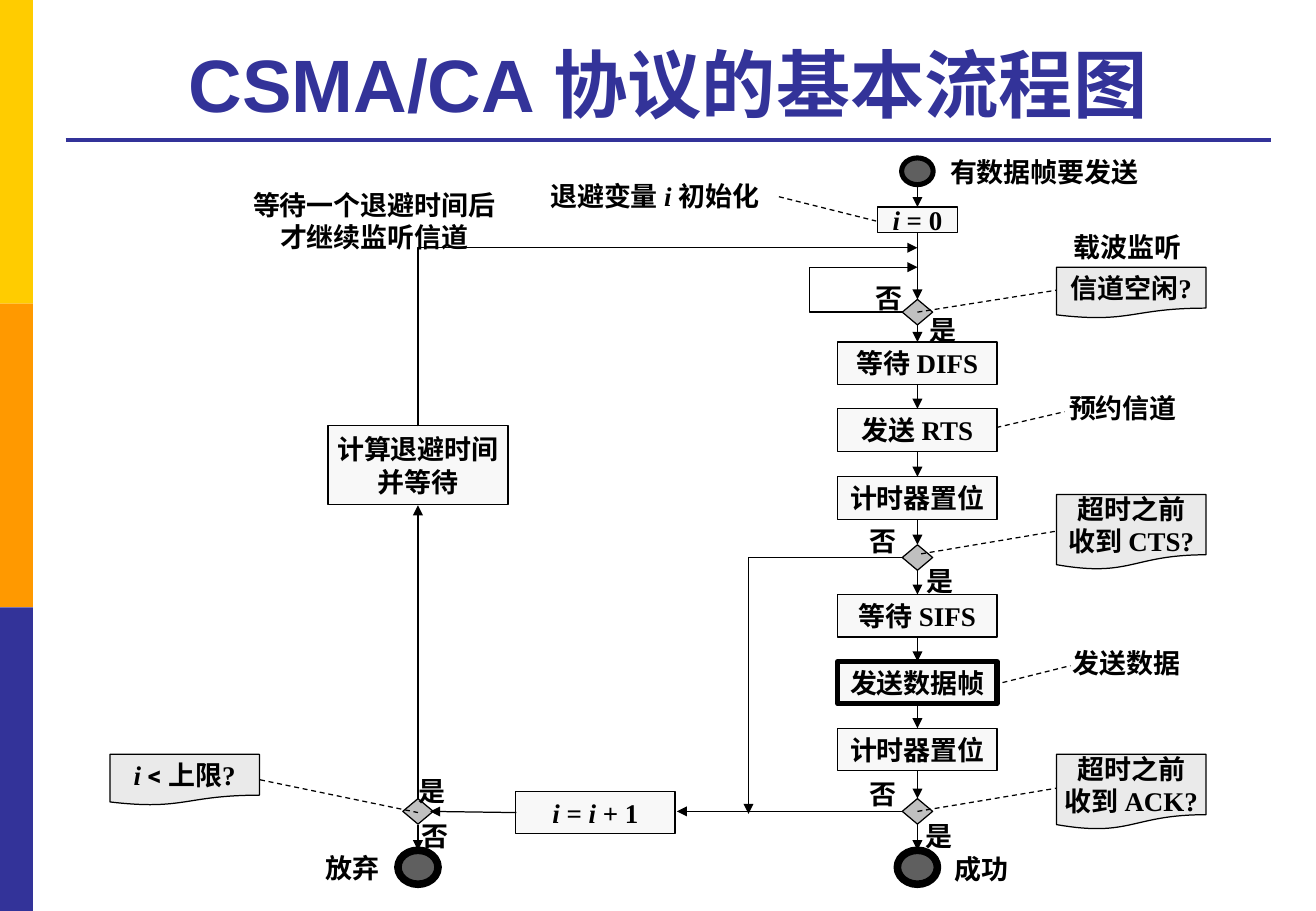
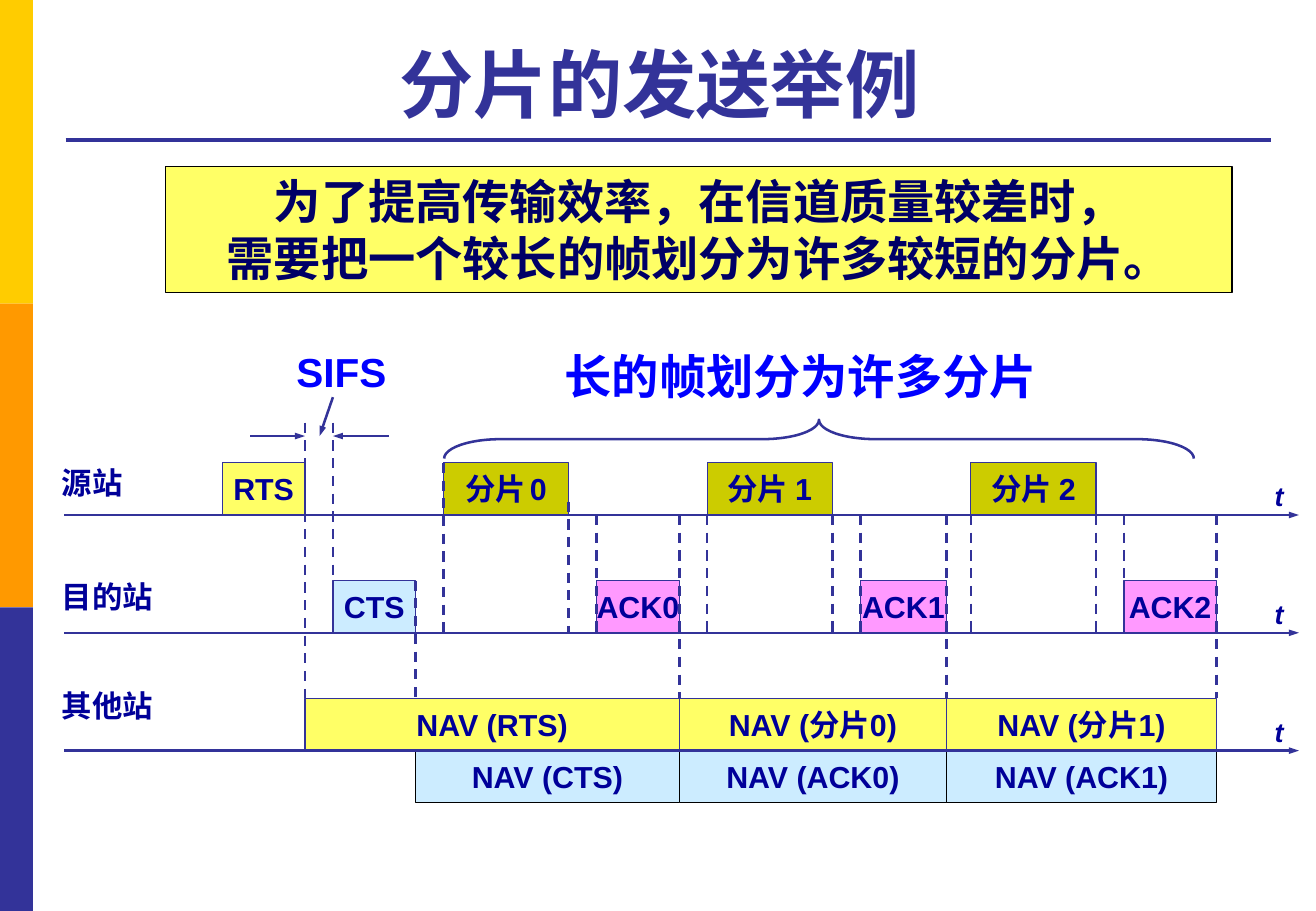
"""Two lecture slides: the CSMA/CA flow chart and a fragment timing diagram."""
from dataclasses import dataclass
from itertools import pairwise

from lxml import etree
from pptx import Presentation
from pptx.dml.color import RGBColor
from pptx.enum.dml import MSO_LINE
from pptx.enum.shapes import MSO_CONNECTOR, MSO_SHAPE as S
from pptx.enum.text import MSO_ANCHOR, PP_ALIGN
from pptx.oxml.ns import qn
from pptx.util import Inches, Pt


@dataclass(frozen=True)
class Theme:
    """Colours, fonts and type sizes of the deck."""
    gold: str = "FFCC00"
    orange: str = "FF9900"
    indigo: str = "333399"
    black: str = "000000"
    navy: str = "000099"
    deep: str = "000066"
    blue: str = "0000FF"
    yellow: str = "FFFF66"
    sky: str = "CCECFF"
    olive: str = "CCCC00"
    pink: str = "FF99FF"
    step: str = "F8F8F8"
    test: str = "C0C0C0"
    note: str = "EAEAEA"
    dot: str = "5F5F5F"
    sans: str = "Arial"
    serif: str = "Times New Roman"
    label: str = "Roboto"
    title_size: int = 44
    lead_size: int = 28
    sifs_size: int = 24
    body_size: int = 18
    small_size: int = 16
    gap_size: int = 10


T = Theme()
WIDTH, HEIGHT = 10.83, 7.5
BANDS = [T.gold, T.orange, T.indigo]

MAIN, COUNT, BACKOFF, NOTES, LIMIT = 7.55, 4.9, 3.44, 9.31, 1.52
LOOP, FAIL = 6.66, 6.16
KINDS = {
    "start": (S.OVAL, T.dot, 3, 0.26, 0.22),
    "end": (S.OVAL, T.dot, 4.5, 0.33, 0.28),
    "init": (S.FLOWCHART_PROCESS, T.step, 0.75, 0.66, 0.21),
    "step": (S.FLOWCHART_PROCESS, T.step, 0.75, 1.31, 0.35),
    "send": (S.FLOWCHART_PROCESS, T.step, 3, 1.31, 0.35),
    "wait": (S.FLOWCHART_PROCESS, T.step, 0.75, 1.48, 0.65),
    "test": (S.FLOWCHART_DECISION, T.test, 0.75, 0.25, 0.21),
    "note": (S.FLOWCHART_DOCUMENT, T.note, 0.75, 1.23, 0.42),
    "long note": (S.FLOWCHART_DOCUMENT, T.note, 0.75, 1.23, 0.62),
}
MAIN_FLOW = [
    ("start", 1.41, ""), ("init", 1.81, "_i |^= 0"), ("test", 2.57, ""),
    ("step", 2.99, "等待 DIFS"), ("step", 3.54, "发送 RTS"),
    ("step", 4.1, "计时器置位"), ("test", 4.59, ""),
    ("step", 5.07, "等待 SIFS"), ("send", 5.62, "发送数据帧"),
    ("step", 6.17, "计时器置位"), ("test", 6.68, ""), ("end", 7.14, ""),
]
SIDE_NODES = [
    ("step", COUNT, 6.69, "_i |^= |_i|^ + 1"), ("test", BACKOFF, 6.68, ""),
    ("end", BACKOFF, 7.14, ""), ("wait", BACKOFF, 3.83, "计算退避时间\n并等待"),
]
NOTE_NODES = [
    ("note", NOTES, 2.41, "信道空闲|^?"),
    ("long note", NOTES, 4.38, "超时之前\n收到 |^CTS?"),
    ("long note", NOTES, 6.52, "超时之前\n收到 |^ACK?"),
    ("note", LIMIT, 6.42, "_i| < 上限|^?"),
]
SIDE_ARROWS = [
    [(MAIN - 0.12, 2.57), (LOOP, 2.57), (LOOP, 2.2), (MAIN, 2.2)],
    [(MAIN - 0.12, 4.59), (FAIL, 4.59), (FAIL, 6.7)],
    [(BACKOFF, 3.51), (BACKOFF, 2.04), (MAIN, 2.04)],
    [(MAIN - 0.13, 6.68), (5.57, 6.68)],
    [(COUNT - 0.65, 6.69), (BACKOFF + 0.1, 6.68)],
    [(BACKOFF, 6.58), (BACKOFF, 4.16)],
    [(BACKOFF, 6.79), (BACKOFF, 7)],
]
NOTE_LINES = [
    [(2.14, 6.42), (BACKOFF, 6.69)], [(MAIN, 2.57), (8.69, 2.39)],
    [(7.58, 4.56), (8.71, 4.37)], [(MAIN, 6.68), (8.69, 6.49)],
    [(6.41, 1.62), (7.21, 1.82)], [(8.2, 3.52), (8.76, 3.39)],
    [(8.25, 5.62), (8.81, 5.48)],
]
LABELS = [
    (7.55, 2.53, 0.44, "是"), (7.53, 4.6, 0.44, "是"), (7.52, 6.7, 0.44, "是"),
    (3.35, 6.33, 0.44, "是"), (7.11, 2.27, 0.44, "否"), (7.06, 4.27, 0.44, "否"),
    (7.06, 6.35, 0.44, "否"), (3.37, 6.7, 0.44, "否"),
    (4.43, 1.43, 2.05, "退避变量 |_i |初始化"), (7.72, 1.23, 1.97, "有数据帧要发送"),
    (7.76, 6.97, 0.82, "成功"), (2.58, 6.96, 0.82, "放弃"),
    (8.74, 1.85, 1.56, "载波监听"), (8.7, 3.17, 1.56, "预约信道"),
    (8.73, 5.27, 1.56, "发送数据"),
]
RETRY_LABEL = "等待一个退避时间后\n才继续监听信道"

AXES = {"源站": 4.24, "目的站": 5.21, "其他站": 6.18}
SOURCE, TARGET, OTHER = AXES.values()
STATION_TOPS = (3.77, 4.71, 5.61)
BAR, SIFS, CYCLE, FRAGMENT = 0.43, 0.23, 2.17, 1.03
RTS_START, RTS_END = 1.83, 2.51
CTS_START, CTS_END = RTS_END + SIFS, 3.42
FIRST = CTS_END + SIFS
ACK_ENDS = (5.59, 7.79, 10.01)
FRAGMENTS = ["分片|# |0", "分片 1", "分片 2"]
NAV_SENDER = ["NAV (RTS)", "NAV (分片0)", "NAV (分片1)"]
NAV_RECEIVER = ["NAV (CTS)", "NAV (ACK0)", "NAV (ACK1)"]
LEAD = "为了提高传输效率，在信道质量较差时，\n需要把一个较长的帧划分为许多较短的分片。"


def write(shape, text, size, font, color, align=PP_ALIGN.CENTER,
          anchor=MSO_ANCHOR.MIDDLE, wrap=False, italic=False):
    """Fill a shape; | splits runs, _ marks italic serif, ^ serif, # a narrow gap."""
    frame = shape.text_frame
    frame.word_wrap = wrap
    frame.vertical_anchor = anchor
    for i, line in enumerate(text.split("\n")):
        paragraph = frame.paragraphs[0] if i == 0 else frame.add_paragraph()
        paragraph.alignment = align
        for piece in line.split("|"):
            mark = piece[0] if piece[0] in "_^#" else ""
            run = paragraph.add_run()
            run.text = piece[len(mark):]
            run.font.size = Pt(T.gap_size if mark == "#" else size)
            run.font.name = T.serif if mark in ("_", "^") else font
            run.font.bold = True
            run.font.italic = italic or mark == "_"
            run.font.color.rgb = RGBColor.from_string(color)


def add_box(slide, kind, left, top, width, height, fill=None, line=None, weight=0.75):
    """Add a preset shape with plain fill and outline."""
    shape = slide.shapes.add_shape(kind, *map(Inches, (left, top, width, height)))
    shape.shadow.inherit = False
    if fill:
        shape.fill.solid()
        shape.fill.fore_color.rgb = RGBColor.from_string(fill)
    else:
        shape.fill.background()
    if line:
        shape.line.color.rgb = RGBColor.from_string(line)
        shape.line.width = Pt(weight)
    else:
        shape.line.fill.background()
    return shape


def add_label(slide, left, top, width, height, text, size, font, color,
              align=PP_ALIGN.LEFT, anchor=MSO_ANCHOR.TOP, italic=False):
    """Add a free text box."""
    box = slide.shapes.add_textbox(*map(Inches, (left, top, width, height)))
    write(box, text, size, font, color, align, anchor, True, italic)


def add_path(slide, points, color, weight, dash=False, head=None):
    """Add a straight connector or an open bent outline, with an optional arrowhead."""
    spots = [(Inches(x), Inches(y)) for x, y in points]
    if len(spots) == 2:
        path = slide.shapes.add_connector(MSO_CONNECTOR.STRAIGHT, *spots[0], *spots[1])
    else:
        builder = slide.shapes.build_freeform(*spots[0], scale=1.0)
        builder.add_line_segments(spots[1:], close=False)
        path = builder.convert_to_shape()
        path.fill.background()
    path.line.color.rgb = RGBColor.from_string(color)
    path.line.width = Pt(weight)
    if dash:
        path.line.dash_style = MSO_LINE.DASH
    props = path.element.spPr
    if head:
        etree.SubElement(props.find(qn("a:ln")), qn("a:tailEnd"),
                         type="triangle", w=head, len="med")
    etree.SubElement(props, qn("a:effectLst"))


def new_slide(deck, title):
    """Add a slide with the side bands, the rule and a title."""
    slide = deck.slides.add_slide(deck.slide_layouts[6])
    band = HEIGHT / len(BANDS)
    for i, color in enumerate(BANDS):
        add_box(slide, S.RECTANGLE, 0, i * band, WIDTH / 40, band, color)
    add_path(slide, [(0.54, 1.15), (10.46, 1.15)], T.indigo, 2.25)
    add_label(slide, 0.55, 0.21, 9.9, 0.89, title, T.title_size, T.sans, T.indigo,
              PP_ALIGN.CENTER, MSO_ANCHOR.BOTTOM)
    return slide


def add_node(slide, kind, x, y, text, font=T.serif):
    """Add a flow chart node centred on a point."""
    shape, fill, weight, width, height = KINDS[kind]
    node = add_box(slide, shape, x - width / 2, y - height / 2, width, height,
                   fill, T.black, weight)
    if text:
        write(node, text, T.small_size, font, T.black)


def build_flow(deck):
    """Build the flow chart slide."""
    slide = new_slide(deck, "CSMA/CA 协议的基本流程图")
    for kind, y, text in MAIN_FLOW:
        add_node(slide, kind, MAIN, y, text)
    for node in SIDE_NODES:
        add_node(slide, *node)
    for node in NOTE_NODES:
        add_node(slide, *node, font=T.label)
    for (kind, y, _), (next_kind, next_y, _) in pairwise(MAIN_FLOW):
        ends = y + KINDS[kind][4] / 2, next_y - KINDS[next_kind][4] / 2
        add_path(slide, [(MAIN, end) for end in ends], T.black, 0.75, head="med")
    for points in SIDE_ARROWS:
        add_path(slide, points, T.black, 0.75, head="med")
    for points in NOTE_LINES:
        add_path(slide, points, T.black, 0.75, dash=True)
    style = T.small_size, T.label, T.black
    for left, top, width, text in LABELS:
        add_label(slide, left, top, width, 0.32, text, *style)
    add_label(slide, 1.89, 1.5, 2.38, 0.56, RETRY_LABEL, *style, PP_ALIGN.CENTER)


def build_timing(deck):
    """Build the fragment timing slide."""
    slide = new_slide(deck, "分片的发送举例 ")

    def bar(start, end, top, text, fill, line=T.indigo):
        shape = add_box(slide, S.RECTANGLE, start, top, end - start, BAR, fill, line)
        write(shape, text, T.body_size, T.sans, T.navy)

    def guide(x, top, bottom):
        add_path(slide, [(x, top), (x, bottom)], T.indigo, 1.5, dash=True)

    sent, answered, nav = (axis - BAR for axis in AXES.values())
    bar(RTS_START, RTS_END, sent, "RTS", T.yellow)
    bar(CTS_START, CTS_END, answered, "CTS", T.sky)
    nav_edges = (RTS_END, *ACK_ENDS)
    reply_edges = (CTS_END, *ACK_ENDS)
    for i, ack_end in enumerate(ACK_ENDS):
        start = FIRST + i * CYCLE
        end = start + FRAGMENT
        ack = end + SIFS
        bar(start, end, sent, FRAGMENTS[i], T.olive)
        bar(ack, ack_end, answered, f"ACK{i}", T.pink)
        bar(nav_edges[i], ack_end, nav, NAV_SENDER[i], T.yellow)
        bar(reply_edges[i], ack_end, OTHER, NAV_RECEIVER[i], T.sky, T.black)
        guide(start, SOURCE if i else sent, TARGET)
        guide(end, SOURCE if i else SOURCE - 0.11, TARGET)
        guide(ack, SOURCE, TARGET)
        guide(ack_end, SOURCE, nav)
    guide(RTS_END, 3.48, nav)
    guide(CTS_START, 3.48, TARGET)
    guide(CTS_END, answered, nav)
    arrows = [[(2.06, 3.59), (RTS_END, 3.59)], [(3.2, 3.59), (CTS_START, 3.59)],
              [(CTS_START, 3.27), (2.63, 3.59)]]
    arrows += [[(0.53, axis), (10.69, axis)] for axis in AXES.values()]
    for points in arrows:
        add_path(slide, points, T.indigo, 1.5, head="sm")
    for (station, axis), top in zip(AXES.items(), STATION_TOPS):
        add_label(slide, 0.41, top, 1.1, 0.4, station, T.body_size, T.sans, T.navy)
        add_label(slide, 10.39, axis - 0.34, 0.28, 0.37, "t", T.small_size, T.sans,
                  T.navy, italic=True)
    add_label(slide, 2.34, 2.81, 0.98, 0.5, "SIFS", T.sifs_size, T.sans, T.blue)
    add_label(slide, 4.55, 2.81, 4.2, 0.57, "长的帧划分为许多分片", T.lead_size,
              T.sans, T.blue)
    brace = add_box(slide, S.RIGHT_BRACE, 6.58, 0.53, 0.32, 6.17, line=T.indigo, weight=1.5)
    brace.rotation = 270
    brace.adjustments[0] = 1.46
    lead = add_box(slide, S.RECTANGLE, 1.36, 1.37, 8.78, 1.04, T.yellow, T.black)
    write(lead, LEAD, T.lead_size, T.sans, T.deep, anchor=MSO_ANCHOR.TOP, wrap=True)


deck = Presentation()
deck.slide_width, deck.slide_height = Inches(WIDTH), Inches(HEIGHT)
build_flow(deck)
build_timing(deck)
deck.save("out.pptx")
